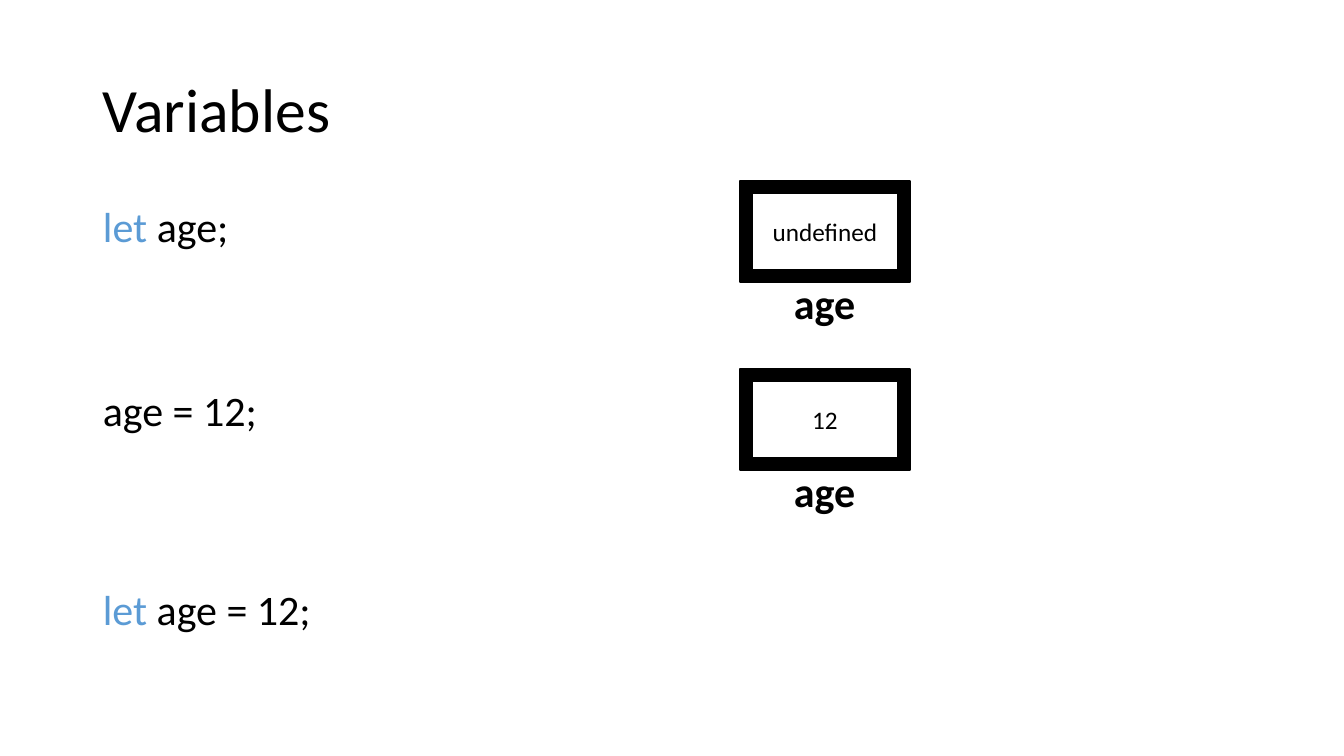
from dataclasses import dataclass

from pptx import Presentation
from pptx import util as u
from pptx.dml.color import RGBColor
from pptx.enum import shapes, text
from pptx.slide import Slide

PX = 12192000 / 1344  # EMU per pixel


@dataclass(frozen=True)
class Theme:
    """Font, colours and type sizes (points) of the slide."""
    font: str = "Calibri"
    ink: RGBColor = RGBColor(0x00, 0x00, 0x00)
    keyword: RGBColor = RGBColor(0x5B, 0x9B, 0xD5)
    heading_size: int = 44
    code_size: int = 30
    value_size: int = 18


THEME = Theme()


@dataclass(frozen=True)
class Box:
    """A rectangle in pixels."""
    left: int
    top: int
    width: int
    height: int

    def emu(self) -> list[int]:
        """Return left, top, width and height in EMU."""
        return [px(n) for n in (self.left, self.top, self.width, self.height)]


@dataclass(frozen=True)
class Line:
    """A line of text, with an optional coloured keyword before it."""
    box: Box
    words: str
    keyword: str = ""
    size: int = THEME.code_size
    bold: bool = False
    inset_top: int = 5
    anchor: text.MSO_ANCHOR = text.MSO_ANCHOR.TOP
    spacing: float = 1.0


@dataclass(frozen=True)
class Variable:
    """A memory cell: a framed value above its variable name."""
    name: str
    value: str


def px(pixels: int) -> u.Emu:
    """Convert pixels to EMU."""
    return u.Emu(round(pixels * PX))


def style(run, size: int, color: RGBColor, bold: bool = False) -> None:
    """Format one run in the theme font."""
    run.font.name = THEME.font
    run.font.size = u.Pt(size)
    run.font.color.rgb = color
    run.font.bold = bold


def draw_line(slide: Slide, line: Line) -> None:
    """Draw a line of text in its box."""
    frame = slide.shapes.add_textbox(*line.box.emu()).text_frame
    frame.word_wrap = True
    frame.vertical_anchor = line.anchor
    frame.margin_top = px(line.inset_top)
    paragraph = frame.paragraphs[0]
    paragraph.line_spacing = line.spacing
    for words, color in ((line.keyword, THEME.keyword), (line.words, THEME.ink)):
        if words:
            run = paragraph.add_run()
            run.text = words
            style(run, line.size, color, line.bold)


def draw_variable(slide: Slide, variable: Variable, top: int) -> None:
    """Draw a memory cell with its name below."""
    cell = slide.shapes.add_shape(shapes.MSO_SHAPE.FRAME, *Box(740, top, 170, 101).emu())
    cell.adjustments[0] = 0.125
    cell.shadow.inherit = False
    cell.fill.solid()
    cell.fill.fore_color.rgb = THEME.ink
    cell.line.color.rgb = THEME.ink
    cell.line.width = u.Pt(1)
    cell.text_frame.text = variable.value
    cell.text_frame.vertical_anchor = text.MSO_ANCHOR.MIDDLE
    value = cell.text_frame.paragraphs[0]
    value.alignment = text.PP_ALIGN.CENTER
    style(value.runs[0], THEME.value_size, THEME.ink)
    draw_line(slide, Line(Box(784, top + 92, 83, 61), variable.name, bold=True))


LINES = (
    Line(Box(93, 40, 1159, 146), "Variables", size=THEME.heading_size,
         anchor=text.MSO_ANCHOR.MIDDLE, spacing=0.9),
    Line(Box(93, 152, 1159, 529), " age;", "let", inset_top=49),
    Line(Box(93, 380, 177, 61), "age = 12;"),
    Line(Box(93, 579, 242, 61), " age = 12;", "let"),
)
VARIABLES = (Variable("age", "undefined"), Variable("age", "12"))
FIRST_CELL_TOP, CELL_PITCH = 181, 188


def main() -> None:
    """Build and save the slide."""
    deck = Presentation()
    deck.slide_width, deck.slide_height = px(1344), px(756)
    slide = deck.slides.add_slide(deck.slide_layouts[6])
    for line in LINES:
        draw_line(slide, line)
    for row, variable in enumerate(VARIABLES):
        draw_variable(slide, variable, FIRST_CELL_TOP + row * CELL_PITCH)
    deck.save("out.pptx")


main()
